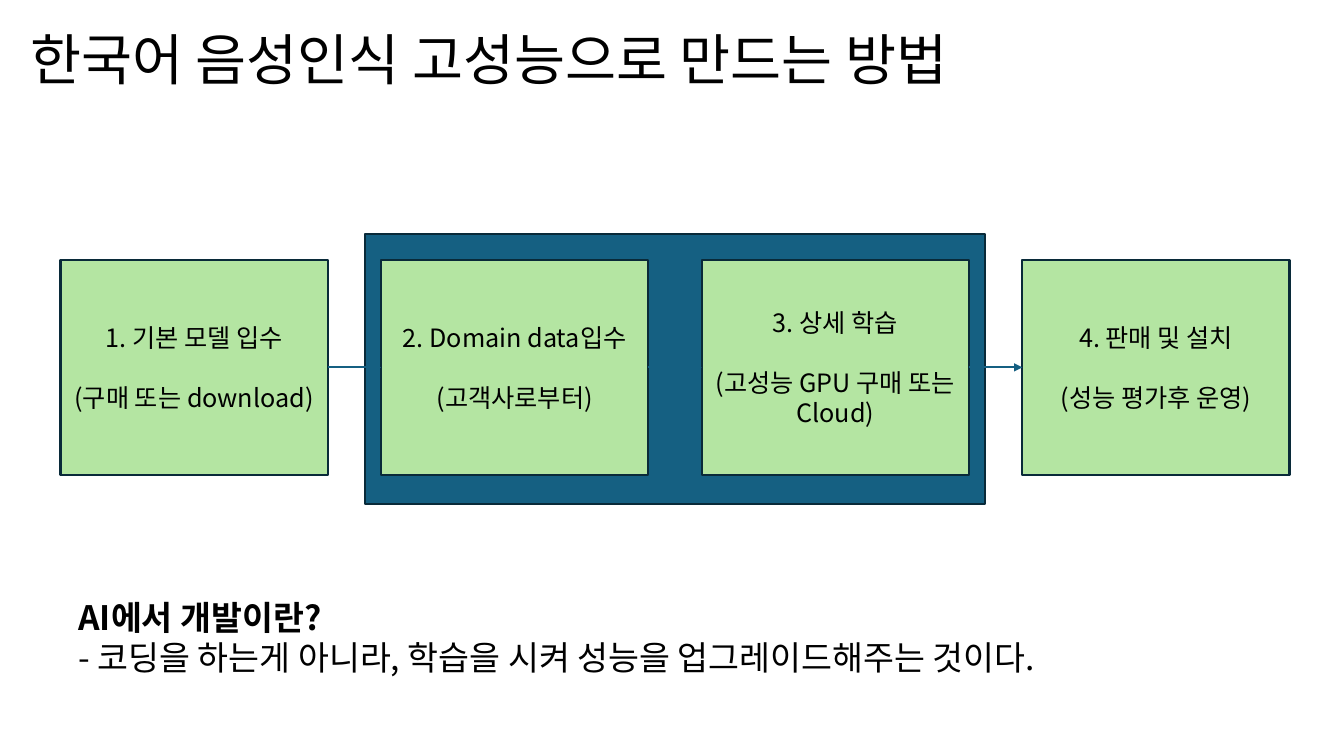
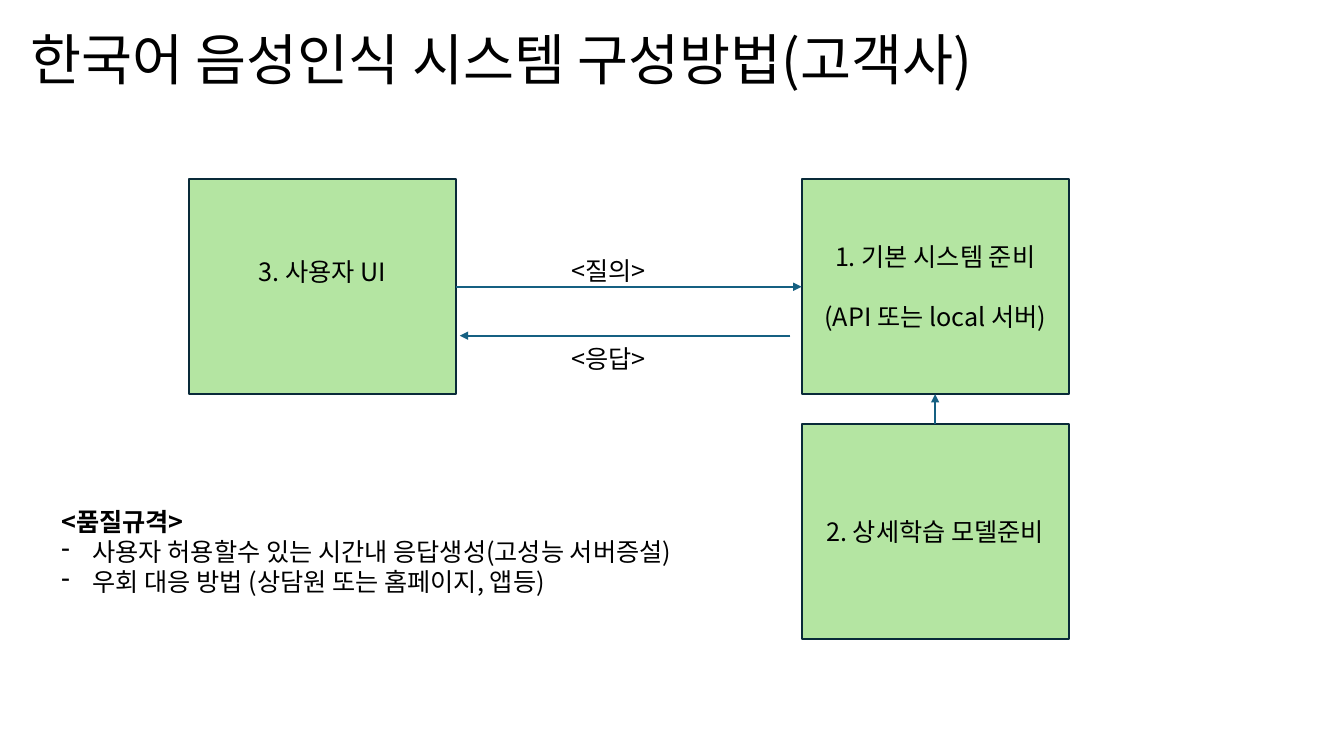
from pptx import Presentation
from pptx.dml.color import RGBColor
from pptx.enum.shapes import MSO_CONNECTOR, MSO_SHAPE
from pptx.enum.text import MSO_ANCHOR, PP_ALIGN
from pptx.oxml.ns import qn
from pptx.oxml.xmlchemy import OxmlElement
from pptx.util import Inches, Pt

# Shared style
FONT = "Noto Sans CJK KR"
BLACK = RGBColor(0x00, 0x00, 0x00)
GREEN = RGBColor(0xB4, 0xE5, 0xA2)
TEAL = RGBColor(0x15, 0x60, 0x82)
DARK_TEAL = RGBColor(0x09, 0x2A, 0x39)
LINE_WIDTH = Pt(1.5)
BODY_SIZE = 18
BLANK_LINE = 21.5
BOX_WIDTH, BOX_HEIGHT = 2.65, 2.13
TOP, LEFT, BOTTOM, RIGHT = range(4)  # connection sites of a rectangle


def write_lines(text_frame, lines, size, bold_first=False):
    text_frame.text = "\n".join(lines)
    for index, paragraph in enumerate(text_frame.paragraphs):
        for run in paragraph.runs:
            run.font.name = FONT
            run.font.size = Pt(size)
            run.font.bold = bold_first and index == 0
            run.font.color.rgb = BLACK
            east_asian = OxmlElement("a:ea")
            east_asian.set("typeface", FONT)
            run.font._element.find(qn("a:latin")).addnext(east_asian)


def add_text(slide, left, top, width, height, lines, size=BODY_SIZE, bold_first=False):
    box = slide.shapes.add_textbox(
        Inches(left), Inches(top), Inches(width), Inches(height))
    box.text_frame.word_wrap = True
    write_lines(box.text_frame, lines, size, bold_first)
    return box.text_frame


def add_title(slide, text):
    text_frame = add_text(slide, 0.2, 0.25, 11.6, 0.74, [text], size=39.6)
    text_frame.vertical_anchor = MSO_ANCHOR.MIDDLE
    text_frame.paragraphs[0].line_spacing = 0.9


def add_rectangle(slide, left, top, width, height, fill):
    shape = slide.shapes.add_shape(
        MSO_SHAPE.RECTANGLE, Inches(left), Inches(top), Inches(width), Inches(height))
    shape.shadow.inherit = False
    shape.fill.solid()
    shape.fill.fore_color.rgb = fill
    shape.line.color.rgb = DARK_TEAL
    shape.line.width = LINE_WIDTH
    return shape


def add_step(slide, left, top, lines):
    shape = add_rectangle(slide, left, top, BOX_WIDTH, BOX_HEIGHT, GREEN)
    text_frame = shape.text_frame
    text_frame.word_wrap = True
    text_frame.vertical_anchor = MSO_ANCHOR.MIDDLE
    write_lines(text_frame, lines, BODY_SIZE)
    for index, paragraph in enumerate(text_frame.paragraphs):
        paragraph.alignment = PP_ALIGN.CENTER
        if index:
            paragraph.space_before = Pt(BLANK_LINE)
    return shape


def add_arrow(slide, start=(0, 0), end=(0, 0)):
    arrow = slide.shapes.add_connector(
        MSO_CONNECTOR.STRAIGHT, *(Inches(value) for value in (*start, *end)))
    arrow.line.color.rgb = TEAL
    arrow.line.width = LINE_WIDTH
    head = OxmlElement("a:tailEnd")
    head.set("type", "triangle")
    arrow.line._get_or_add_ln().append(head)
    arrow._element.spPr.append(OxmlElement("a:effectLst"))
    return arrow


def join_shapes(slide, source, source_site, target, target_site):
    arrow = add_arrow(slide)
    arrow.begin_connect(source, source_site)
    arrow.end_connect(target, target_site)


def add_dash_bullet(paragraph):
    properties = paragraph._p.get_or_add_pPr()
    properties.set("marL", str(Inches(0.31)))
    properties.set("indent", str(-Inches(0.31)))
    bullet = OxmlElement("a:buChar")
    bullet.set("char", "-")
    properties.append(bullet)


def add_process(slide, left, top, steps):
    pitch = 3.18
    # Panel behind the two middle steps
    add_rectangle(slide, left + pitch - 0.16, top - 0.26,
                  pitch + BOX_WIDTH + 0.32, 2.68, TEAL)
    boxes = [add_step(slide, left + index * pitch, top, lines)
             for index, lines in enumerate(steps)]
    for source, target in zip(boxes, boxes[1:]):
        join_shapes(slide, source, RIGHT, target, LEFT)


def add_system(slide, left, top):
    server_left = left + 6.08
    server = add_step(slide, server_left, top, ["1. 기본 시스템 준비", "(API 또는 local 서버)"])
    client = add_step(slide, left, top, ["3. 사용자 UI"])
    client.text_frame.margin_bottom = Inches(0.35)
    model = add_step(slide, server_left, top + BOX_HEIGHT + 0.3, ["2. 상세학습 모델준비"])

    # Question and answer between user interface and server
    join_shapes(slide, model, TOP, server, BOTTOM)
    join_shapes(slide, client, RIGHT, server, LEFT)
    answer_y = top + 1.55
    add_arrow(slide, (server_left - 0.11, answer_y), (left + BOX_WIDTH + 0.04, answer_y))
    for offset, label in ((0.7, "<질의>"), (1.58, "<응답>")):
        add_text(slide, left + 3.7, top + offset, 1.1, 0.4, [label])


def build_method_slide(slide):
    add_title(slide, "한국어 음성인식 고성능으로 만드는 방법")
    add_process(slide, 0.6, 2.58, [
        ["1. 기본 모델 입수", "(구매 또는 download)"],
        ["2. Domain data입수", "(고객사로부터)"],
        ["3. 상세 학습", "(고성능 GPU 구매 또는 Cloud)"],
        ["4. 판매 및 설치", "(성능 평가후 운영)"],
    ])
    add_text(slide, 0.68, 5.87, 10.87, 0.91, [
        "AI에서 개발이란?",
        "- 코딩을 하는게 아니라, 학습을 시켜 성능을 업그레이드해주는 것이다.",
    ], size=24, bold_first=True)


def build_system_slide(slide):
    add_title(slide, "한국어 음성인식 시스템 구성방법(고객사)")
    add_system(slide, 1.87, 1.78)
    quality = add_text(slide, 0.51, 4.97, 6.92, 1.01, [
        "<품질규격>",
        "사용자 허용할수 있는 시간내 응답생성(고성능 서버증설)",
        "우회 대응 방법 (상담원 또는 홈페이지, 앱등)",
    ], bold_first=True)
    for paragraph in quality.paragraphs[1:]:
        add_dash_bullet(paragraph)


def main():
    presentation = Presentation()
    presentation.slide_width = Inches(13.33)
    presentation.slide_height = Inches(7.5)
    blank_layout = presentation.slide_layouts[6]
    for build_slide in (build_method_slide, build_system_slide):
        build_slide(presentation.slides.add_slide(blank_layout))
    presentation.save("out.pptx")


if __name__ == "__main__":
    main()
